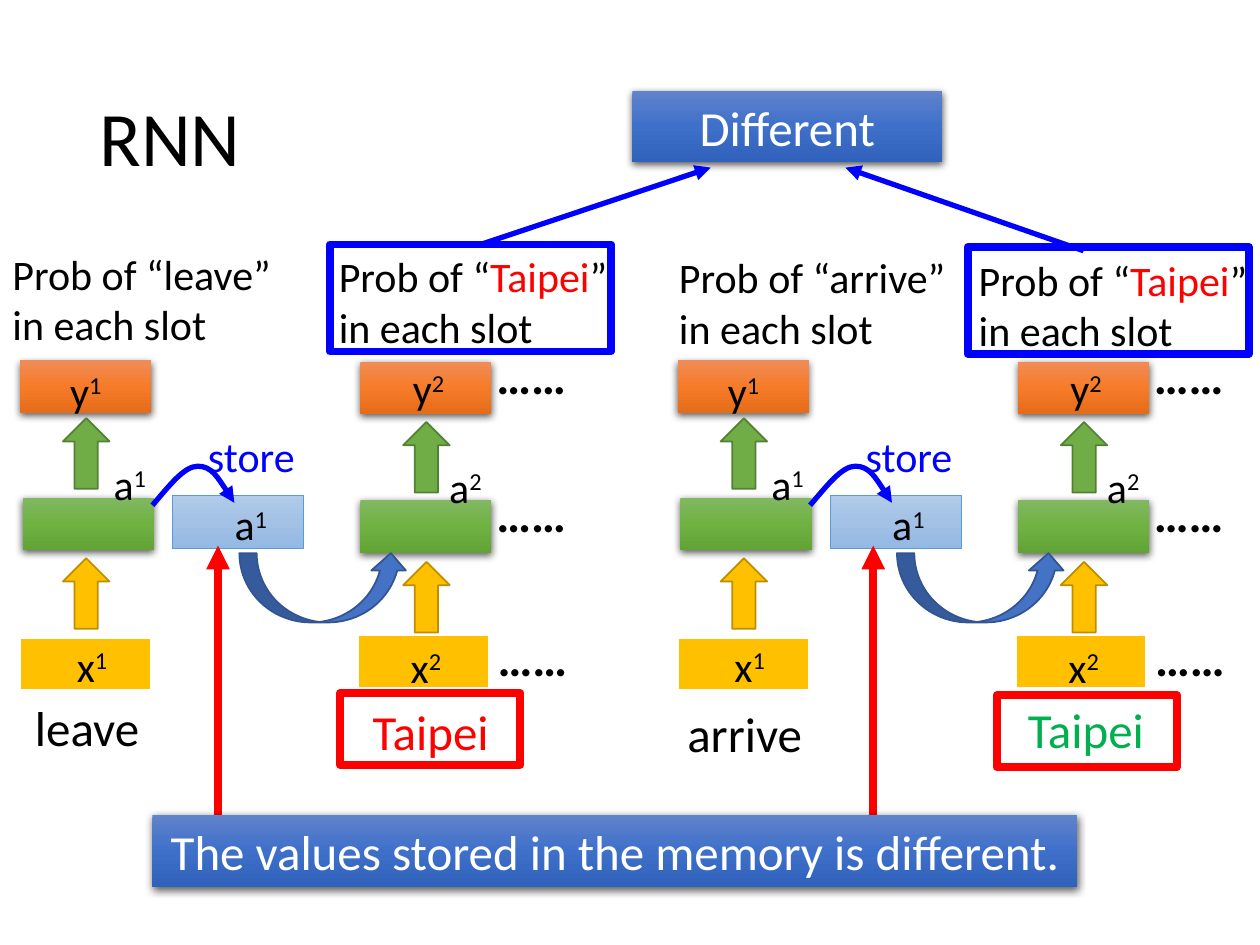
"""Draw two RNN chains whose stored memory gives different outputs."""
from dataclasses import dataclass
from typing import Any, Optional

from lxml.etree import SubElement
from pptx import Presentation
from pptx.dml.color import RGBColor
from pptx.enum.shapes import MSO_CONNECTOR, MSO_SHAPE
from pptx.enum.text import MSO_ANCHOR, PP_ALIGN
from pptx.oxml.ns import qn
from pptx.util import Pt

RECT, UP, BEND = MSO_SHAPE.RECTANGLE, MSO_SHAPE.UP_ARROW, MSO_SHAPE.CURVED_UP_ARROW
LINE = MSO_CONNECTOR.STRAIGHT
LEFT, MID, CENTER = PP_ALIGN.LEFT, MSO_ANCHOR.MIDDLE, PP_ALIGN.CENTER
FONT = "Calibri"
BLACK, WHITE = RGBColor(0, 0, 0), RGBColor(255, 255, 255)
RED, BLUE = RGBColor(255, 0, 0), RGBColor(0, 0, 255)
LEAF, GOLD, RUST = RGBColor(0, 176, 80), RGBColor(255, 192, 0), RGBColor(189, 142, 0)
GREEN, MOSS = RGBColor(112, 173, 71), RGBColor(83, 128, 53)
NAVY, STEEL, SKY = RGBColor(68, 114, 196), RGBColor(50, 84, 145), RGBColor(91, 155, 213)
GRASS = tuple(map(RGBColor.from_string, ("81B861", "6FB242", "62A336")))
FLAME = tuple(map(RGBColor.from_string, ("F18C57", "F67B28", "E56C19")))
CLOUD = tuple(map(RGBColor.from_string, ("B1CBE9", "A3C1E5", "93B9E4")))
OCEAN = tuple(map(RGBColor.from_string, ("6183CB", "3E70CA", "3062BB")))


@dataclass(frozen=True)
class Block:
    x: float
    y: float
    fill: Any
    edge: Optional[RGBColor] = None
    width: float = 1
    shade: bool = False
    kind: Any = RECT
    w: float = 75
    h: float = 30.2


@dataclass(frozen=True)
class Label:
    x: float
    y: float
    text: str
    sup: str = ""
    w: float = 63.4
    h: float = 32.4
    size: float = 24
    color: RGBColor = BLACK
    bold: bool = False
    align: Any = CENTER


@dataclass(frozen=True)
class Chain:
    dx: float
    verb: Label
    city: Label
    probs: tuple[Label, Label]


def arrow(x: float, y: float, fill: RGBColor, edge: RGBColor) -> Block:
    """Describe one upward block arrow."""
    return Block(x, y, fill, edge, kind=UP, w=26.6, h=40.3)


def dots(x: float, y: float) -> Label:
    """Describe one ellipsis."""
    return Label(x, y, "……", w=56.2, h=41, size=28, bold=True, align=LEFT)


BLOCKS = (
    Block(11.5, 364.3, GOLD, WHITE, 1.5),
    Block(13, 284.4, GRASS, shade=True),
    Block(11.5, 205.9, FLAME, shade=True),
    Block(204.5, 362.9, GOLD, WHITE, 1.5),
    Block(205.9, 285.8, GRASS, shade=True),
    Block(98.6, 283, CLOUD, SKY, 0.5),
    Block(205.9, 206.6, FLAME, shade=True),
    arrow(36, 319, GOLD, RUST),
    arrow(36, 239, GREEN, MOSS),
    arrow(230.4, 321.1, GOLD, RUST),
    arrow(230.4, 241.2, GREEN, MOSS),
    Block(136.8, 316.1, NAVY, STEEL, kind=BEND, w=96.5, h=39.6),
)
LABELS = (
    Label(107.3, 242.6, "store", w=72.7, h=36, color=BLUE),
    Label(20.9, 362.2, "x", "1"),
    Label(211.7, 362.9, "x", "2"),
    Label(17.3, 205.2, "y", "1"),
    Label(213.1, 203.8, "y", "2"),
    Label(42.5, 258.5, "a", "1"),
    Label(111.6, 281.5, "a", "1"),
    Label(246.2, 259.9, "a", "2", w=39.6),
    dots(276.5, 193.7),
    dots(276.5, 272.9),
    dots(277.2, 355),
)
CURVE = ((96.5, 277.9), (105.1, 266.4), (113, 266.4),
         (121, 266.4), (127.4, 277.2), (133.9, 287.3))


def prob(x: float, y: float, text: str = "Prob of “") -> Label:
    """Describe one output caption."""
    return Label(x, y, text, w=176.4, h=65.5, align=LEFT)


CHAINS = (
    Chain(0, Label(10.8, 395.3, "leave", w=77.8, h=41, size=28),
          Label(205.9, 397.4, "Taipei", w=92.2, h=41, size=28, color=RED, align=LEFT),
          (prob(0, 138.2, "Prob of “leave” in each slot"), prob(186.5, 139.7))),
    Chain(375.8, Label(377.3, 398.2, "arrive", w=96.5, h=41, size=28),
          Label(580.3, 396, "Taipei", w=92.2, h=41, size=28, color=LEAF, align=LEFT),
          (prob(380.9, 140.4, "Prob of “arrive” in each slot"), prob(552.2, 141.8))),
)


def write(shape: Any, text: str, *, size: float = 24, color: RGBColor = BLACK,
          bold: bool = False, align: Any = LEFT, sup: bool = False) -> None:
    """Append a formatted run to a shape's first paragraph."""
    shape.text_frame.word_wrap = True
    para = shape.text_frame.paragraphs[0]
    para.alignment = align
    run = para.add_run()
    run.text = text
    run.font.name, run.font.size, run.font.bold = FONT, Pt(size), bold
    run.font.color.rgb = color
    if sup:
        run.font._element.set("baseline", "30000")


def blend(shape: Any, stops: tuple) -> None:
    """Fill a shape with a downward gradient."""
    shape.fill.gradient()
    shape.fill.gradient_angle = 270
    ramp = next(shape._element.spPr.iter(qn("a:gsLst")))
    ramp.clear()
    for i, color in enumerate(stops):
        stop = SubElement(ramp, qn("a:gs"), pos=str(i * 50000))
        SubElement(stop, qn("a:srgbClr"), val=str(color))


def cast(shape: Any) -> None:
    """Give a shape a soft shadow below it."""
    glow = SubElement(shape._element.spPr.find(qn("a:effectLst")), qn("a:outerShdw"),
                      blurRad=str(Pt(4.5)), dist=str(Pt(1.5)), dir="5400000",
                      algn="ctr", rotWithShape="0")
    tint = SubElement(glow, qn("a:srgbClr"), val=str(BLACK))
    SubElement(tint, qn("a:alpha"), val="63000")


def block(shapes: Any, item: Block, dx: float = 0) -> Any:
    """Draw a block shape."""
    shape = shapes.add_shape(item.kind, Pt(item.x + dx), Pt(item.y), Pt(item.w), Pt(item.h))
    shape.shadow.inherit = False
    if item.fill is None:
        shape.fill.background()
    elif isinstance(item.fill, RGBColor):
        shape.fill.solid()
        shape.fill.fore_color.rgb = item.fill
    else:
        blend(shape, item.fill)
    if item.edge is None:
        shape.line.fill.background()
    else:
        shape.line.color.rgb, shape.line.width = item.edge, Pt(item.width)
    if item.shade:
        cast(shape)
    return shape


def label(shapes: Any, item: Label, dx: float = 0) -> Any:
    """Draw a text box with an optional raised index."""
    box = shapes.add_textbox(Pt(item.x + dx), Pt(item.y), Pt(item.w), Pt(item.h))
    style = dict(size=item.size, color=item.color, bold=item.bold, align=item.align)
    write(box, item.text, **style)
    if item.sup:
        write(box, item.sup, sup=True, **style)
    return box


def tip(shape: Any, color: RGBColor, width: float) -> None:
    """Style a line and put an arrowhead at its end."""
    shape.line.color.rgb, shape.line.width = color, Pt(width)
    SubElement(shape.line._get_or_add_ln(), qn("a:tailEnd"), type="triangle")


def link(shapes: Any, x: float, y: float, to: tuple, color: RGBColor, width: float) -> Any:
    """Draw a straight arrow."""
    line = shapes.add_connector(LINE, Pt(x), Pt(y), Pt(to[0]), Pt(to[1]))
    tip(line, color, width)
    SubElement(line._element.spPr, qn("a:effectLst"))
    return line


def store(shapes: Any, dx: float) -> None:
    """Draw the curved arrow into the memory cell."""
    pen = shapes.build_freeform(Pt(87.1 + dx), Pt(288.7))
    pen.add_line_segments([(Pt(x + dx), Pt(y)) for x, y in CURVE], close=False)
    shape = pen.convert_to_shape()
    shape.shadow.inherit = False
    shape.fill.background()
    parts = list(shape._element.iter(qn("a:lnTo")))
    for i in (0, 3):
        trace = parts[i].getparent()
        bow = SubElement(trace, qn("a:cubicBezTo"))
        for part in parts[i:i + 3]:
            bow.append(part[0])
            trace.remove(part)
    tip(shape, BLUE, 3)


def chain(shapes: Any, dx: float) -> None:
    """Draw one two-step network as a group."""
    group = shapes.add_group_shape().shapes
    for item in BLOCKS:
        block(group, item, dx)
    store(group, dx)
    for item in LABELS:
        label(group, item, dx)


def banner(shapes: Any, text: str, x: float, y: float, w: float) -> None:
    """Draw a blue message bar."""
    bar = block(shapes, Block(x, y, OCEAN, shade=True, w=w, h=41))
    bar.text_frame.vertical_anchor = MID
    write(bar, text, size=28, color=WHITE, align=CENTER)


def main() -> None:
    """Build and save the slide."""
    deck = Presentation()
    deck.slide_width, deck.slide_height = Pt(720), Pt(540)
    shapes = deck.slides.add_slide(deck.slide_layouts[6]).shapes
    title = label(shapes, Label(49.7, 28.8, "RNN", w=620.6, h=104.4, size=44, align=LEFT))
    title.text_frame.vertical_anchor = MID
    title.text_frame.paragraphs[0].line_spacing = 0.9
    notes = []
    for item in CHAINS:
        chain(shapes, item.dx)
        label(shapes, item.verb)
        label(shapes, item.city)
        label(shapes, item.probs[0])
        note = label(shapes, item.probs[1])
        write(note, "Taipei", color=RED)
        write(note, "” in each slot")
        notes.append(note)
    banner(shapes, "Different", 361.4, 51.8, 177.1)
    link(shapes, 274.7, 139.7, (406.1, 95.8), BLUE, 3).begin_connect(notes[0], 0)
    link(shapes, 619.2, 143.3, (483.1, 95.8), BLUE, 3)
    for x, y in ((194.4, 396), (569.5, 397.4)):
        block(shapes, Block(x, y, None, RED, 4.5, w=103, h=41))
    for x, y in ((124.6, 465.8), (499, 482.4)):
        link(shapes, x, y, (x, 311.8), RED, 4.5)
    banner(shapes, "The values stored in the memory is different.", 87.1, 465.8, 528.5)
    for x, y in ((188.6, 139.7), (553, 141.1)):
        block(shapes, Block(x, y, None, BLUE, 4.5, w=160.6, h=61.2))
    deck.save("out.pptx")


if __name__ == "__main__":
    main()
